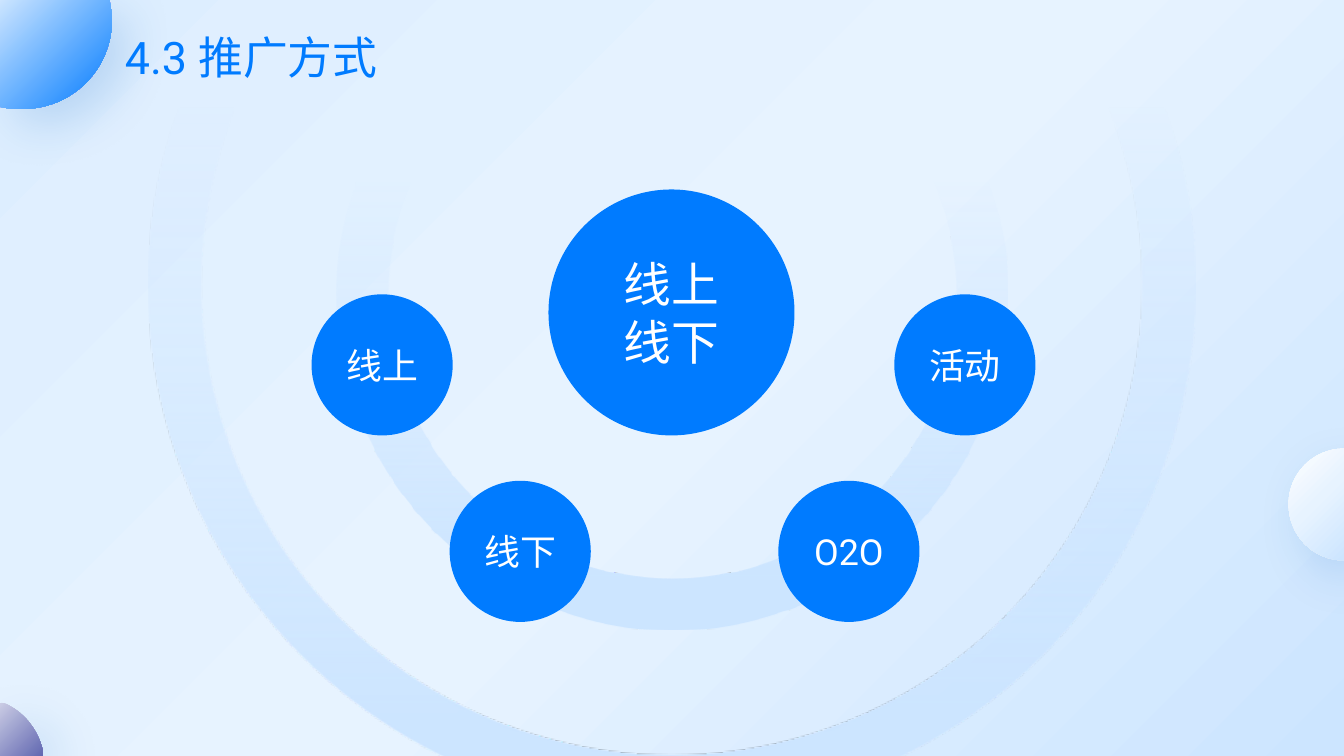
"""Build the promotion methods slide with its hub, satellite circles and rings."""
from itertools import chain

from lxml.etree import SubElement
from pptx import Presentation
from pptx.dml.color import RGBColor
from pptx.enum.shapes import MSO_SHAPE
from pptx.enum.text import MSO_ANCHOR, PP_ALIGN
from pptx.oxml.ns import qn
from pptx.util import Inches, Pt

WIDTH, HEIGHT = 13.33, 7.5
THEME = {
    "font": "Roboto", "blue": "007BFF", "white": "FFFFFF", "shadow": "005CBF",
    "title": 32, "hub": 34.1, "satellite": 25.6,
    "background": [(0, "DDEEFF", 100), (52, "E7F3FF", 100), (100, "CCE5FF", 100)],
    "ring": [(33, "CCE5FF", 0), (67, "CCE5FF", 51), (93, "CCE5FF", 100)],
    "blue sphere": [(0, "CCE5FF", 100), (100, "007BFF", 100)],
    "white sphere": [(0, "FFFFFF", 100), (49, "E7F3FF", 100), (100, "CCE5FF", 100)],
    "violet sphere": [(0, "CBCDE5", 100), (100, "6369B2", 100)],
}
TITLE = ("4.3 推广方式", 1.14, 0.27, 3.17, 0.66)
SPHERES = [
    ("blue sphere", (0, 0), [
        [(1.09, 0)], [(1.09, 0.02)],
        [(1.1, 0.08), (1.11, 0.14), (1.11, 0.2)],
        [(1.11, 0.69), (0.71, 1.08), (0.23, 1.08)],
        [(0.16, 1.08), (0.1, 1.08), (0.05, 1.07)], [(0, 1.06)]]),
    ("white sphere", (13.33, 4.45), [
        [(13.33, 5.56)],
        [(13.02, 5.56), (12.78, 5.31), (12.78, 5)],
        [(12.78, 4.7), (13.02, 4.45), (13.33, 4.45)]]),
    ("violet sphere", (0, 6.97), [
        [(0.05, 6.98)],
        [(0.23, 7.06), (0.37, 7.23), (0.42, 7.43)],
        [(0.42, 7.5)], [(0, 7.5)]]),
]
HUB = ("线上\n线下", 5.44, 1.88, 2.44)
INNER_RING = (3.34, -0.41, 6.65, 0.077)
OUTER_RING = (1.47, -2.37, 10.39, 0.051)
SATELLITE_SIZE = 1.4
SATELLITES = [("线上", 3.09, 2.92), ("线下", 4.46, 4.77),
              ("O2O", 7.72, 4.77), ("活动", 8.87, 2.92)]


def apply(target, values):
    for name, value in values.items():
        setattr(target, name, value)


def add_color(parent, color, alpha):
    element = SubElement(parent, qn("a:srgbClr"), val=color)
    if alpha < 100:
        SubElement(element, qn("a:alpha"), val=str(alpha * 1000))


def set_gradient(fill, properties, stops, angle):
    fill.solid()
    solid = properties.find(qn("a:solidFill"))
    gradient = solid.makeelement(qn("a:gradFill"), {"rotWithShape": "1"})
    stop_list = SubElement(gradient, qn("a:gsLst"))
    for position, color, alpha in stops:
        stop = SubElement(stop_list, qn("a:gs"), pos=str(position * 1000))
        add_color(stop, color, alpha)
    SubElement(gradient, qn("a:lin"), ang=str(angle * 60000), scaled="0")
    properties.replace(solid, gradient)


def write(shape, text, size, color, align, margins):
    frame = shape.text_frame
    apply(frame, {"text": text, "word_wrap": True, "vertical_anchor": MSO_ANCHOR.MIDDLE,
                  "margin_left": Inches(margins[0]), "margin_right": Inches(margins[0]),
                  "margin_top": Inches(margins[1]), "margin_bottom": Inches(margins[1])})
    for paragraph in frame.paragraphs:
        paragraph.alignment = align
        for run in paragraph.runs:
            apply(run.font, {"name": THEME["font"], "size": Pt(size)})
            run.font.color.rgb = RGBColor.from_string(color)


def curve_outline(properties, segments):
    lines = iter(properties.findall(".//" + qn("a:lnTo")))
    for segment in segments:
        group = [next(lines) for point in segment]
        if len(group) == 3:
            curve = group[0].makeelement(qn("a:cubicBezTo"), {})
            group[0].addprevious(curve)
            for line in group:
                curve.append(line[0])
                line.getparent().remove(line)


def add_sphere(slide, fill_name, start, segments):
    builder = slide.shapes.build_freeform(*map(Inches, start))
    builder.add_line_segments([tuple(map(Inches, point))
                               for point in chain.from_iterable(segments)])
    shape = builder.convert_to_shape()
    properties = shape.element.spPr
    curve_outline(properties, segments)
    set_gradient(shape.fill, properties, THEME[fill_name], 45)
    shape.line.fill.background()
    shape.shadow.inherit = False
    shadow = SubElement(properties.find(qn("a:effectLst")), qn("a:outerShdw"),
                        blurRad=str(Pt(35)), dist=str(Pt(16)), dir=str(45 * 60000),
                        algn="tl", rotWithShape="0")
    add_color(shadow, THEME["shadow"], 16)


def add_round(slide, kind, left, top, size):
    shape = slide.shapes.add_shape(kind, *map(Inches, (left, top, size, size)))
    shape.shadow.inherit = False
    shape.line.fill.background()
    return shape


def add_circle(slide, text, left, top, size, text_size, margins):
    circle = add_round(slide, MSO_SHAPE.OVAL, left, top, size)
    circle.fill.solid()
    circle.fill.fore_color.rgb = RGBColor.from_string(THEME["blue"])
    write(circle, text, text_size, THEME["white"], PP_ALIGN.CENTER, margins)


def add_ring(slide, left, top, size, thickness):
    ring = add_round(slide, MSO_SHAPE.DONUT, left, top, size)
    ring.adjustments[0] = thickness
    set_gradient(ring.fill, ring.element.spPr, THEME["ring"], 90)


def main():
    presentation = Presentation()
    apply(presentation, {"slide_width": Inches(WIDTH), "slide_height": Inches(HEIGHT)})
    slide = presentation.slides.add_slide(presentation.slide_layouts[6])
    background = slide.background.fill
    background.solid()
    set_gradient(background, slide.element.xpath(".//p:bgPr")[0], THEME["background"], 45)

    for sphere in SPHERES:
        add_sphere(slide, *sphere)
    text, *box = TITLE
    title = slide.shapes.add_textbox(*map(Inches, box))
    write(title, text, THEME["title"], THEME["blue"], PP_ALIGN.LEFT, (0.1, 0.05))
    title.text_frame.paragraphs[0].line_spacing = 0.9

    add_circle(slide, *HUB, THEME["hub"], (0.14, 0.07))
    add_ring(slide, *INNER_RING)
    for text, left, top in SATELLITES:
        add_circle(slide, text, left, top, SATELLITE_SIZE, THEME["satellite"], (0, 0))
    add_ring(slide, *OUTER_RING)
    presentation.save("out.pptx")


if __name__ == "__main__":
    main()
